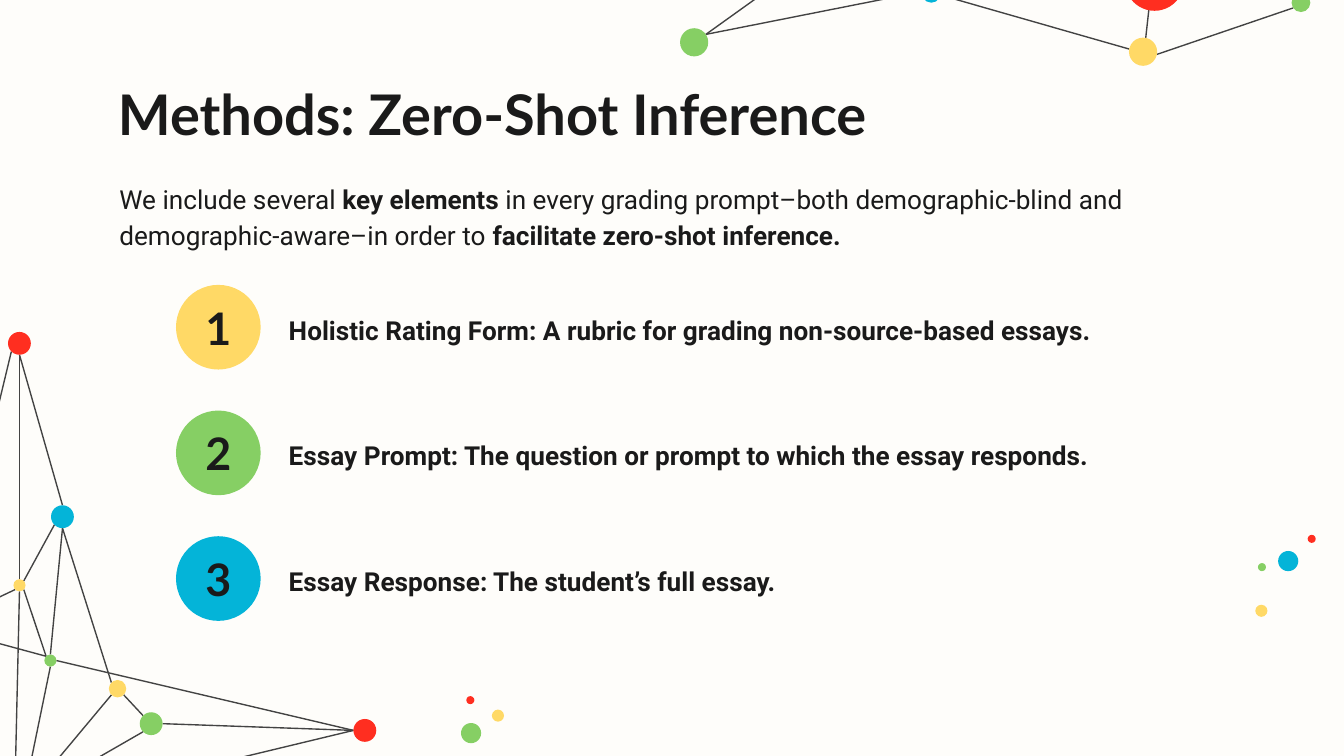
from dataclasses import dataclass, field
import math

import lxml.etree
import pptx
import pptx.dml.color
import pptx.enum.shapes
import pptx.enum.text
import pptx.oxml.ns
import pptx.util

COLS, ROWS = 100, 56.25
CELL = pptx.util.Inches(0.1)
SITES = ("e", "se", "s", "sw", "w", "nw", "n", "ne")
ANCHOR = pptx.enum.text.MSO_ANCHOR
ALIGN = pptx.enum.text.PP_ALIGN
SHAPE = pptx.enum.shapes.MSO_SHAPE


def style(name, size, bold):
    return {"name": name, "size": pptx.util.Pt(size), "bold": bold}


@dataclass(frozen=True)
class Theme:
    paper: str = "FEFDFA"
    ink: str = "1A1A1A"
    line: str = "434343"
    yellow: str = "FFD966"
    green: str = "86CF64"
    blue: str = "04B4D8"
    red: str = "FF2E20"
    line_width: float = 0.75
    title: dict = field(default_factory=lambda: style("Lato", 30, True))
    number: dict = field(default_factory=lambda: style("Lato", 24, True))
    body: dict = field(default_factory=lambda: style("Roboto", 14, False))
    strong: dict = field(default_factory=lambda: style("Roboto", 14, True))


THEME = Theme()


@dataclass(frozen=True)
class Box:
    x: float
    y: float
    w: float
    h: float

    def inner(self, x, y, w, h):
        return Box(self.x + x, self.y + y, w, h)

    def emu(self):
        return [round(v * CELL) for v in (self.x, self.y, self.w, self.h)]


def rgb(value):
    return pptx.dml.color.RGBColor.from_string(value)


def set_all(target, values):
    for name, value in values.items():
        setattr(target, name, value)


def add_text(s, box, runs, anchor=ANCHOR.TOP, **paragraph):
    tf = s.shapes.add_textbox(*box.emu()).text_frame
    sides = ("left", "top", "right", "bottom")
    set_all(tf, {f"margin_{side}": CELL for side in sides})
    set_all(tf, {"word_wrap": True, "vertical_anchor": anchor})
    p = tf.paragraphs[0]
    set_all(p, paragraph)
    for text, fmt in runs:
        r = p.add_run()
        r.text = text
        set_all(r.font, fmt)
        r.font.color.rgb = rgb(THEME.ink)


def add_circle(s, box, color):
    sp = s.shapes.add_shape(SHAPE.OVAL, *box.emu())
    sp.shadow.inherit = False
    sp.fill.solid()
    sp.fill.fore_color.rgb = rgb(color)
    sp.line.fill.background()


def add_line(s, start, end):
    ends = [round(v * CELL) for v in (*start, *end)]
    kind = pptx.enum.shapes.MSO_CONNECTOR.STRAIGHT
    cx = s.shapes.add_connector(kind, *ends)
    cx.line.width = pptx.util.Pt(THEME.line_width)
    cx.line.color.rgb = rgb(THEME.line)
    props = cx._element.spPr
    lxml.etree.SubElement(props, pptx.oxml.ns.qn("a:effectLst"))


def add_network(s, box, nodes, links=(), turn=0):
    def point(end):
        name, *site = end.split(".")
        x, y, size, _ = nodes[name]
        angle = math.radians(SITES.index(site[0]) * 45 + turn) if site else 0
        return (box.x + x + size / 2 * math.cos(angle),
                box.y + y + size / 2 * math.sin(angle))

    for link in links:
        add_line(s, *(point(end) for end in link.split()))
    for x, y, size, color in nodes.values():
        if size:
            circle = box.inner(x - size / 2, y - size / 2, size, size)
            add_circle(s, circle, color)


def add_top_network(s, box):
    nodes = {
        "left": (1.05, 3.15, 2.1, THEME.green),
        "blue": (18.7, -0.5, 1.4, THEME.blue),
        "red": (35.3, -1.4, 4.4, THEME.red),
        "yellow": (34.45, 3.85, 2.1, THEME.yellow),
        "right": (46.2, 0.2, 1.4, THEME.green),
        "above": (16.8, -8.1, 0, None),
    }
    links = ("left.e above", "left.e blue.nw", "right.w yellow.se",
             "yellow.nw blue.se", "yellow.ne red.sw")
    add_network(s, box, nodes, links, turn=-34)


def add_corner_network(s, box):
    nodes = {
        "top": (1.45, 0.85, 1.7, THEME.red),
        "blue": (4.65, 13.75, 1.7, THEME.blue),
        "dot": (1.45, 18.85, 0.9, THEME.yellow),
        "hub": (3.75, 24.45, 0.9, THEME.green),
        "yellow": (8.75, 26.55, 1.3, THEME.yellow),
        "green": (11.25, 29.15, 1.7, THEME.green),
        "end": (27.15, 29.65, 1.7, THEME.red),
        "below": (1.7, 34.9, 0, None),
        "below_left": (1.1, 34.6, 0, None),
        "below_right": (2, 35.5, 0, None),
        "outer": (-4, 21.6, 0, None),
        "outer_low": (-3.7, 22.2, 0, None),
    }
    links = ("hub.e end.w", "blue.n top.s", "dot.n top.s",
             "dot.ne blue.sw", "dot.s below_left", "dot.se hub.nw",
             "below hub.s", "below_right end.w", "yellow.sw below",
             "blue.s hub.n", "blue.s yellow.nw", "below green.sw",
             "yellow.se green.nw", "green.e end.w", "outer_low hub.nw",
             "outer dot.sw", "outer top.sw")
    add_network(s, box, nodes, links)


def add_scatter(s, box, *dots):
    add_network(s, box, dict(enumerate(dots)))


def add_heading(s, box):
    add_text(s, box.inner(0, 0, box.w, 6.3),
             [("Methods: Zero-Shot Inference", THEME.title)])
    runs = [
        ("We include several ", THEME.body),
        ("key elements", THEME.strong),
        (" in every grading prompt–both demographic-blind and "
         "demographic-aware–in order to ", THEME.body),
        ("facilitate zero-shot inference.", THEME.strong),
    ]
    add_text(s, box.inner(0.1, 7.4, box.w - 0.1, 6.8), runs,
             line_spacing=1.15)


def add_element(s, box, number, text, color):
    add_text(s, box.inner(7.4, 0, box.w - 7.4, box.h),
             [(text, THEME.strong)], ANCHOR.MIDDLE, line_spacing=1.15)
    add_circle(s, box.inner(0, 0, box.h, box.h), color)
    add_text(s, box.inner(-0.3, 1.3, box.h + 0.6, 3.7),
             [(str(number), THEME.number)], ANCHOR.MIDDLE,
             alignment=ALIGN.CENTER)


def add_elements(s, box):
    items = (
        ("Holistic Rating Form: A rubric for grading non-source-based "
         "essays.", THEME.yellow),
        ("Essay Prompt: The question or prompt to which the essay "
         "responds.", THEME.green),
        ("Essay Response: The student’s full essay.", THEME.blue),
    )
    height = 6.3
    step = (box.h - height) / (len(items) - 1)
    for i, (text, color) in enumerate(items):
        row = box.inner(0, i * step, box.w, height)
        add_element(s, row, i + 1, text, color)


def main():
    prs = pptx.Presentation()
    prs.slide_width = COLS * CELL
    prs.slide_height = round(ROWS * CELL)
    s = prs.slides.add_slide(prs.slide_layouts[6])
    s.background.fill.solid()
    s.background.fill.fore_color.rgb = rgb(THEME.paper)
    add_scatter(s, Box(93.4, 39.8, 4.5, 6.1),
                (0.45, 5.65, 0.9, THEME.yellow),
                (2.45, 1.95, 1.5, THEME.blue),
                (4.2, 0.3, 0.6, THEME.red), (0.5, 2.4, 0.6, THEME.green))
    add_scatter(s, Box(34.3, 51.8, 3.2, 3.5),
                (2.75, 1.45, 0.9, THEME.yellow),
                (0.75, 2.75, 1.5, THEME.green), (0.7, 0.3, 0.6, THEME.red))
    add_top_network(s, Box(50.6, 0, 46.9, 4.9))
    add_corner_network(s, Box(0, 24.7, 28, 31.5))
    add_heading(s, Box(7.8, 4.9, 84.4, 14.2))
    add_elements(s, Box(13.1, 21.2, 72.9, 25))
    prs.save("out.pptx")


if __name__ == "__main__":
    main()
